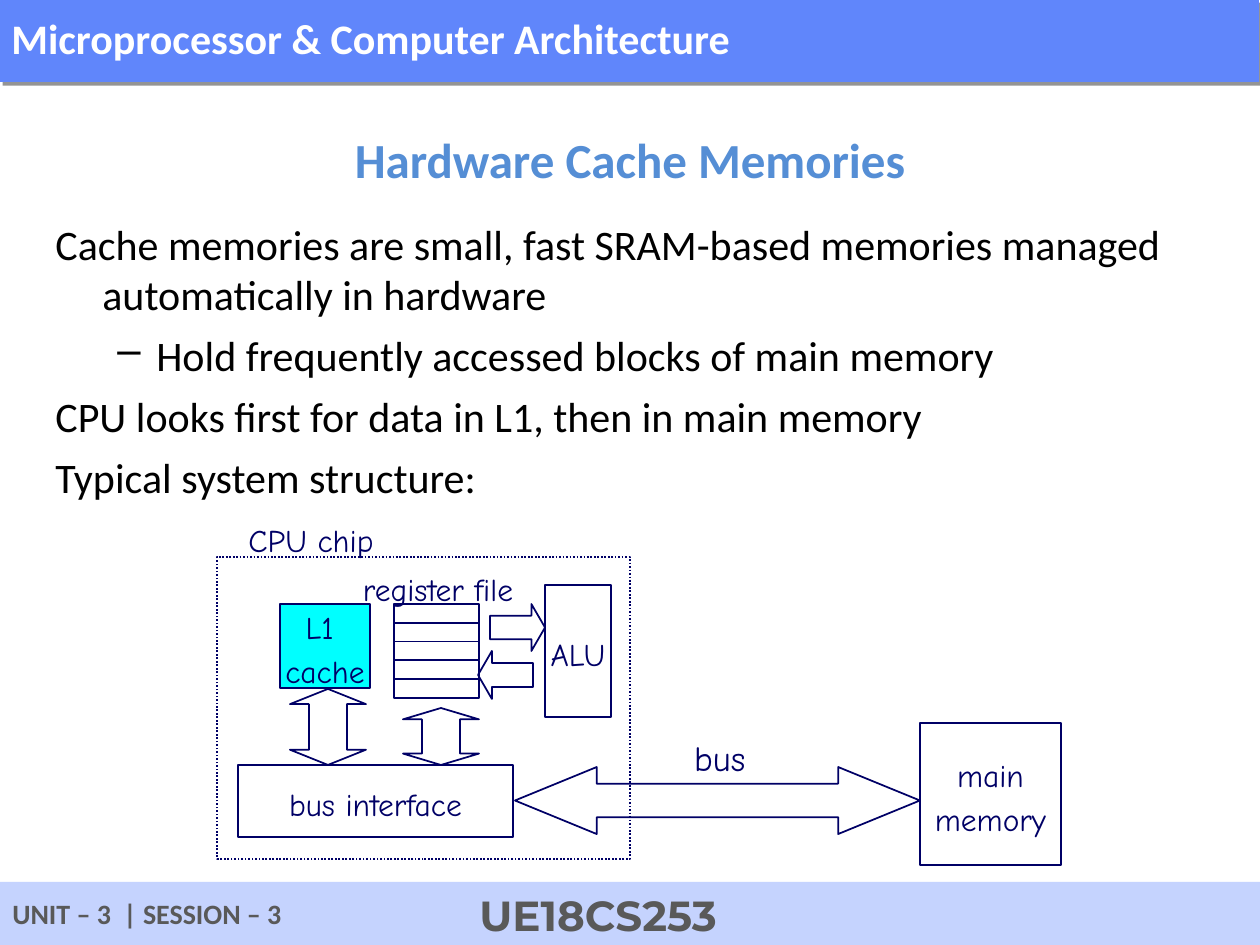
from dataclasses import dataclass

from lxml.etree import SubElement
from pptx import Presentation
from pptx.dml.color import RGBColor
from pptx.enum.dml import MSO_LINE
from pptx.enum.shapes import MSO_SHAPE
from pptx.enum.text import MSO_ANCHOR, PP_ALIGN
from pptx.oxml.ns import qn
from pptx.util import Pt

PX = 914400 / 126


@dataclass(frozen=True)
class Theme:
    banner: str = "6086FB"
    footer: str = "C5D3FE"
    white: str = "FFFFFF"
    black: str = "000000"
    grey: str = "595959"
    heading: str = "558ED5"
    ink: str = "000066"
    cache: str = "00FFFF"
    font: str = "Calibri"
    code_font: str = "Montserrat"
    diagram_font: str = "Comic Neue"
    heading_size: int = 28
    body_size: int = 24
    bus_size: int = 20
    label_size: int = 18
    footer_size: int = 16


THEME = Theme()

COURSE = "Microprocessor & Computer Architecture"
UNIT = "UNIT – 3  | SESSION – 3"
COURSE_CODE = "UE18CS253"
HEADING = "Hardware Cache Memories"
POINTS = [
    (0, "Cache memories are small, fast SRAM-based memories managed automatically in hardware"),
    (1, "Hold frequently accessed blocks of main memory"),
    (0, "CPU looks first for data in L1, then in main memory"),
    (0, "Typical system structure:"),
]
POINT_INDENTS = [(48, -47), (102, -39)]

BLOCKS = [
    (["main", "memory"], (920, 723, 141, 142), None),
    (["bus interface"], (238, 765, 275, 72), None),
    (["ALU"], (545, 585, 66, 132), None),
    (["L1 ", "cache"], (280, 604, 90, 84), THEME.cache),
]
REGISTER_COUNT = 5
REGISTER_FILE = (394, 604, 85, 94)
CPU_CHIP = (217, 557, 413, 302)
SHAFT = 0.5
ARROWS = [
    (MSO_SHAPE.LEFT_RIGHT_ARROW, (515, 767, 405, 67), 1.22),
    (MSO_SHAPE.RIGHT_ARROW, (490, 604, 55, 47), 0.29),
    (MSO_SHAPE.LEFT_ARROW, (478, 651, 55, 48), 0.29),
    (MSO_SHAPE.UP_DOWN_ARROW, (403, 708, 76, 57), 0.2),
    (MSO_SHAPE.UP_DOWN_ARROW, (290, 689, 76, 76), 0.2),
]
LABELS = [
    ("register file", (350, 557, 176, 57), THEME.label_size),
    ("CPU chip", (236, 508, 150, 57), THEME.label_size),
    (" bus", (670, 723, 88, 62), THEME.bus_size),
]


def emu(px):
    return round(px * PX)


def add_block(slide, box, fill=None, line=None, kind=MSO_SHAPE.RECTANGLE):
    block = slide.shapes.add_shape(kind, *map(emu, box))
    block.shadow.inherit = False
    if fill:
        block.fill.solid()
        block.fill.fore_color.rgb = RGBColor.from_string(fill)
    else:
        block.fill.background()
    if line:
        block.line.color.rgb = RGBColor.from_string(line)
        block.line.width = Pt(1)
    else:
        block.line.fill.background()
    return block


def add_arrow(slide, kind, box, head):
    arrow = add_block(slide, box, line=THEME.ink, kind=kind)
    guides = arrow.element.spPr.find(qn("a:prstGeom")).get_or_add_avLst()
    for guide in list(guides):
        guides.remove(guide)
    for name, ratio in [("adj1", SHAFT), ("adj2", head)]:
        SubElement(guides, qn("a:gd"), name=name, fmla=f"val {round(ratio * 100000)}")


def write(holder, lines, size, color, font=THEME.font, bold=False, spacing=None,
          align=PP_ALIGN.LEFT, anchor=MSO_ANCHOR.MIDDLE, wrap=False):
    frame = holder.text_frame
    frame.word_wrap = wrap
    frame.vertical_anchor = anchor
    frame.text = "\n".join(lines)
    for paragraph in frame.paragraphs:
        paragraph.alignment = align
        if spacing:
            paragraph.line_spacing = spacing
        paragraph.font.size = Pt(size)
        paragraph.font.name = font
        paragraph.font.bold = bold
        paragraph.font.color.rgb = RGBColor.from_string(color)


def write_label(holder, lines, size=THEME.label_size):
    write(holder, lines, size, THEME.ink, THEME.diagram_font,
          spacing=1.16, align=PP_ALIGN.CENTER)


def add_banner_shadow(banner):
    effects = banner.element.spPr.find(qn("a:effectLst"))
    shadow = SubElement(effects, qn("a:outerShdw"), blurRad="0", dist=str(Pt(3)),
                        dir="2700000", algn="ctr", rotWithShape="0")
    color = SubElement(shadow, qn("a:srgbClr"), val=THEME.black)
    SubElement(color, qn("a:alpha"), val="41000")


def add_frame(slide):
    banner = add_block(slide, (-1, -1, 1260, 83), THEME.banner)
    add_banner_shadow(banner)
    write(banner, [COURSE], THEME.body_size, THEME.white, bold=True, spacing=0.93, wrap=True)
    add_block(slide, (0, 882, 1260, 63), THEME.footer)
    for text, box, size, font in [
        (UNIT, (0, 893, 412, 45), THEME.footer_size, THEME.font),
        (COURSE_CODE, (467, 888, 237, 50), THEME.body_size, THEME.code_font),
    ]:
        write(add_block(slide, box, THEME.footer), [text], size, THEME.grey, font,
              bold=True, spacing=0.93, anchor=MSO_ANCHOR.TOP)


def add_points(slide):
    body = slide.shapes.add_textbox(*map(emu, (42, 212, 1198, 403)))
    body.text_frame.word_wrap = True
    body.text_frame.text = "\n".join(text for _, text in POINTS)
    for index, (level, _) in enumerate(POINTS):
        paragraph = body.text_frame.paragraphs[index]
        paragraph.level = level
        if index:
            paragraph.space_before = Pt(6)
        margin, indent = POINT_INDENTS[level]
        properties = paragraph._p.get_or_add_pPr()
        properties.set("marL", str(emu(margin)))
        properties.set("indent", str(emu(indent)))
        if level:
            SubElement(properties, qn("a:buChar"), char="–")
        else:
            SubElement(properties, qn("a:buNone"))
        paragraph.font.size = Pt(THEME.body_size)
        paragraph.font.name = THEME.font
        paragraph.font.color.rgb = RGBColor.from_string(THEME.black)


def add_diagram(slide):
    chip = add_block(slide, CPU_CHIP, line=THEME.ink)
    chip.line.dash_style = MSO_LINE.ROUND_DOT
    for lines, box, fill in BLOCKS:
        write_label(add_block(slide, box, fill, THEME.ink), lines)
    left, top, width, height = REGISTER_FILE
    row = height / REGISTER_COUNT
    for index in range(REGISTER_COUNT):
        add_block(slide, (left, top + index * row, width, row), line=THEME.ink)
    for kind, box, head in ARROWS:
        add_arrow(slide, kind, box, head)
    for text, box, size in LABELS:
        write_label(slide.shapes.add_textbox(*map(emu, box)), [text], size)


def main():
    deck = Presentation()
    deck.slide_width, deck.slide_height = emu(1260), emu(945)
    slide = deck.slides.add_slide(deck.slide_layouts[6])
    add_frame(slide)
    heading = slide.shapes.add_textbox(*map(emu, (25, 105, 1210, 107)))
    write(heading, [HEADING], THEME.heading_size, THEME.heading, bold=True,
          align=PP_ALIGN.CENTER, wrap=True)
    add_points(slide)
    add_diagram(slide)
    deck.save("out.pptx")


if __name__ == "__main__":
    main()
